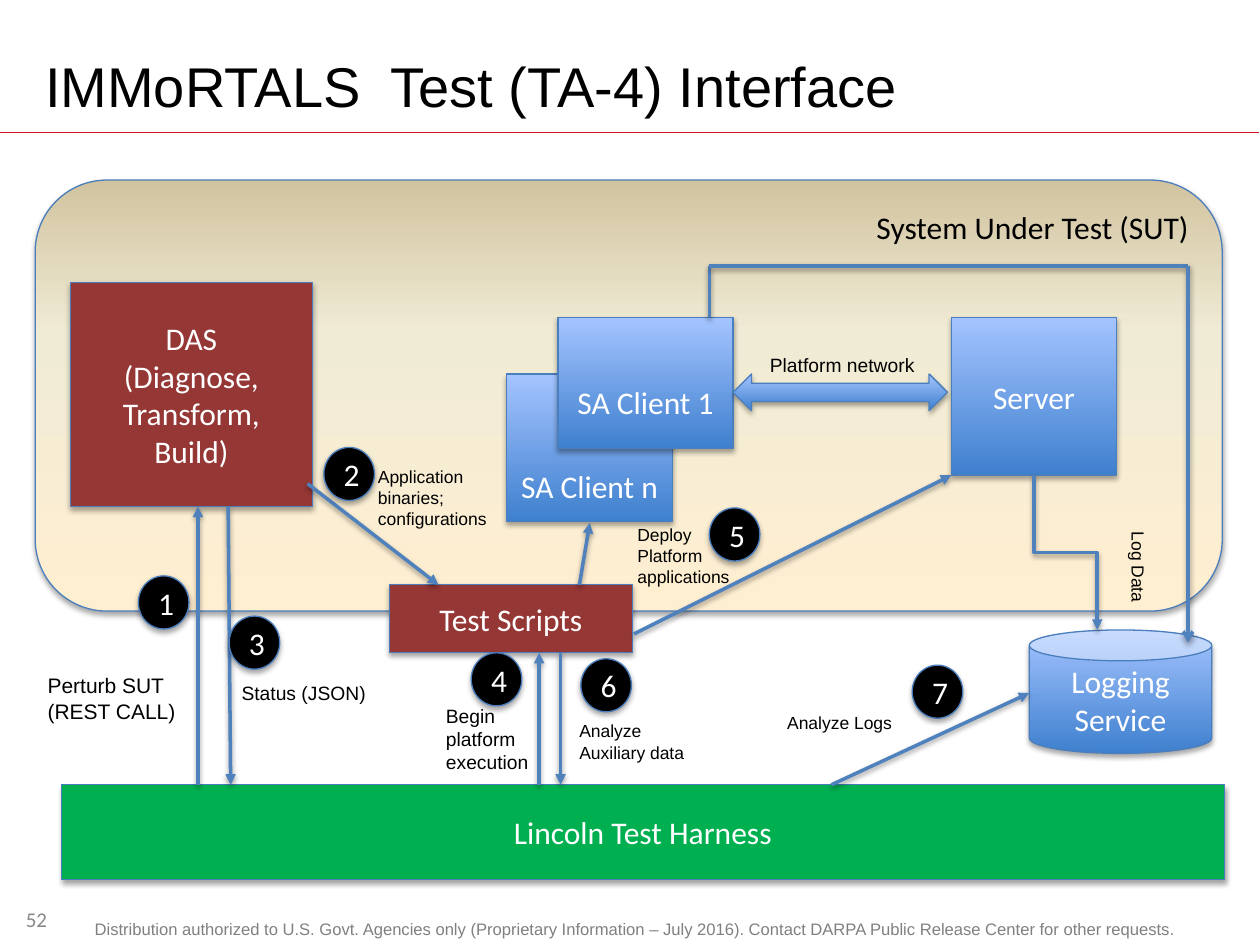
from dataclasses import dataclass

from lxml import etree
from pptx import Presentation
from pptx.dml.color import RGBColor
from pptx.enum import shapes, text
from pptx.oxml.ns import qn
from pptx.util import Cm, Pt

SHAPE = shapes.MSO_SHAPE
LINK = shapes.MSO_CONNECTOR
ALIGN = text.PP_ALIGN
ANCHOR = text.MSO_ANCHOR


@dataclass(frozen=True)
class Theme:
    """Colours, fonts and type sizes of the slide."""
    heading: str = "Arial"
    body: str = "Calibri"
    ink: str = "000000"
    paper: str = "FFFFFF"
    rule: str = "CE1126"
    footer: str = "808080"
    number: str = "898989"
    outline: str = "4B7EBC"
    flow: str = "4F81BD"
    tool: str = "953735"
    harness: str = "00B050"
    blue: tuple = ((0, "3F80CE"), (100, "A4C4FF"))
    sand: tuple = ((0, "FFEFD1"), (65, "F0EBD5"), (100, "D1C39F"))
    title_size: float = 32
    node_size: float = 18
    number_size: float = 12
    footer_size: float = 9.5
    large_label: float = 12
    label: float = 11
    small_label: float = 10


THEME = Theme()


@dataclass(frozen=True)
class Box:
    """A region of the slide, in centimetres."""
    left: float
    top: float
    width: float
    height: float

    def inner(self, x, y, width, height):
        """Return a box placed relative to this one."""
        return Box(self.left + x, self.top + y, width, height)

    def point(self, x, y):
        """Return an absolute point given relative to this box."""
        return self.left + x, self.top + y

    def lengths(self):
        """Return the position and size as slide lengths."""
        return [Cm(v) for v in (self.left, self.top, self.width, self.height)]


def rgb(code):
    """Return the colour for a hex code."""
    return RGBColor.from_string(code)


def write(frame, lines, size, color, font, align=ALIGN.LEFT, spacing=None):
    """Fill a text frame with one paragraph for each line."""
    for index, line in enumerate(lines.split("\n")):
        paragraph = frame.add_paragraph() if index else frame.paragraphs[0]
        paragraph.alignment = align
        if spacing:
            paragraph.line_spacing = spacing
        run = paragraph.add_run()
        run.text = line
        run.font.size, run.font.name = Pt(size), font
        run.font.color.rgb = rgb(color)


def add_text(slide, box, lines, size, color=THEME.ink, font=THEME.heading,
             align=ALIGN.LEFT, anchor=ANCHOR.TOP, wrap=True, spacing=None):
    """Add a text box and return it."""
    label = slide.shapes.add_textbox(*box.lengths())
    label.text_frame.word_wrap = wrap
    label.text_frame.vertical_anchor = anchor
    write(label.text_frame, lines, size, color, font, align, spacing)
    return label


def cast_shadow(properties, alpha, distance):
    """Put a soft downward shadow on a shape or connector."""
    effects = properties.find(qn("a:effectLst"))
    if effects is None:
        effects = etree.SubElement(properties, qn("a:effectLst"))
    shadow = etree.SubElement(effects, qn("a:outerShdw"), blurRad=str(Pt(3.1)),
                              dist=str(Pt(distance)), dir="5400000", rotWithShape="0")
    shade = etree.SubElement(shadow, qn("a:srgbClr"), val=THEME.ink)
    etree.SubElement(shade, qn("a:alpha"), val=str(alpha * 1000))


def paint(shape, fill):
    """Fill a shape with one colour or with rising gradient stops."""
    if isinstance(fill, str):
        shape.fill.solid()
        shape.fill.fore_color.rgb = rgb(fill)
        return
    shape.fill.gradient()
    shape.fill.gradient_angle = 90
    stops = shape._element.spPr.find(".//" + qn("a:gsLst"))
    for stop in list(stops):
        stops.remove(stop)
    for position, color in fill:
        stop = etree.SubElement(stops, qn("a:gs"), pos=str(position * 1000))
        etree.SubElement(stop, qn("a:srgbClr"), val=color)


def add_node(slide, box, fill, lines="", kind=SHAPE.RECTANGLE, color=THEME.paper,
             align=ALIGN.CENTER, anchor=ANCHOR.MIDDLE, drop=0):
    """Add an outlined node whose text starts lower by the given drop."""
    node = slide.shapes.add_shape(kind, *box.lengths())
    paint(node, fill)
    node.line.color.rgb, node.line.width = rgb(THEME.outline), Pt(0.75)
    node.shadow.inherit = False
    cast_shadow(node._element.spPr, 35, 1.8)
    if lines:
        frame = node.text_frame
        frame.word_wrap, frame.vertical_anchor = True, anchor
        frame.margin_top = Cm(0.13 + drop)
        write(frame, lines, THEME.node_size, color, THEME.body, align)


def add_line(slide, start, end, color, width, kind=LINK.STRAIGHT):
    """Add a plain connector and return it."""
    line = slide.shapes.add_connector(kind, *[Cm(v) for v in (*start, *end)])
    line.line.color.rgb, line.line.width = rgb(color), Pt(width)
    return line


def add_flow(slide, start, end, head="triangle", kind=LINK.STRAIGHT):
    """Add a shadowed flow line with an optional arrowhead and return it."""
    flow = add_line(slide, start, end, THEME.flow, 2, kind)
    properties = flow._element.spPr
    if head:
        etree.SubElement(properties.find(qn("a:ln")), qn("a:tailEnd"), type=head)
    cast_shadow(properties, 38, 1.6)
    return flow


def add_falling_elbow(slide, start, end):
    """Add an elbow flow that leaves and arrives vertically."""
    (x1, y1), (x2, y2) = start, end
    middle_x, middle_y = (x1 + x2) / 2, (y1 + y2) / 2
    half_run, half_rise = (y2 - y1) / 2, (x2 - x1) / 2
    elbow = add_flow(slide, (middle_x + half_run, middle_y - half_rise),
                     (middle_x - half_run, middle_y + half_rise), kind=LINK.ELBOW)
    elbow._element.spPr.find(qn("a:xfrm")).set("rot", "16200000")


def draw_header(slide, box):
    """Draw the title and the rule below it."""
    add_text(slide, box.inner(0.66, 0.76, 22.86, 1.91), "IMMoRTALS  Test (TA-4) Interface",
             THEME.title_size, anchor=ANCHOR.MIDDLE)
    add_line(slide, box.point(0, box.height), box.point(box.width, box.height),
             THEME.rule, 1)._element.spPr.append(etree.Element(qn("a:effectLst")))


def draw_footer(slide, box):
    """Draw the slide number and the distribution statement."""
    add_text(slide, box.inner(1.47, 0.46, 22.66, 0.66),
             "Distribution authorized to U.S. Govt. Agencies only (Proprietary Information"
             " – July 2016). Contact DARPA Public Release Center for other requests.",
             THEME.footer_size, THEME.footer, align=ALIGN.CENTER, spacing=0.8)
    add_text(slide, box.inner(0, 0, 1.47, 1.02), "52", THEME.number_size, THEME.number,
             THEME.body, ALIGN.CENTER, ANCHOR.MIDDLE)


def draw_system(slide, box):
    """Draw the system under test with its clients, server and network."""
    add_node(slide, box, THEME.sand, "System Under Test (SUT)", SHAPE.ROUNDED_RECTANGLE,
             THEME.ink, ALIGN.RIGHT, ANCHOR.TOP)
    add_node(slide, box.inner(9.5, 3.91, 3.35, 2.97), THEME.blue, "SA Client n", drop=1.52)
    add_node(slide, box.inner(10.54, 2.77, 3.53, 2.64), THEME.blue, "SA Client 1", drop=0.76)
    add_node(slide, box.inner(18.47, 2.77, 3.33, 3.18), THEME.blue, "Server")
    add_node(slide, box.inner(0.71, 2.06, 4.88, 4.52), THEME.tool,
             "DAS\n(Diagnose, Transform, Build)")
    add_node(slide, box.inner(14.07, 3.91, 4.32, 0.74), THEME.blue, kind=SHAPE.LEFT_RIGHT_ARROW)
    add_text(slide, box.inner(14.56, 3.36, 3.45, 0.74), "Platform network", THEME.label, wrap=False)


def draw_test_bench(slide, box):
    """Draw the test scripts, the logging service and the harness."""
    add_node(slide, box.inner(0, 4.03, 23.44, 1.91), THEME.harness, "Lincoln Test Harness")
    add_node(slide, box.inner(6.61, 0, 4.9, 1.37), THEME.tool, "Test Scripts")
    add_node(slide, box.inner(19.51, 0.91, 3.68, 2.49), THEME.blue, "Logging Service", SHAPE.CAN)


def draw_flows(slide, box):
    """Draw the arrows between the parts and the route of the log data."""
    for start, end in (((3.99, 15.82), (3.99, 10.21)), ((4.6, 10.21), (4.65, 15.82)),
                       ((10.87, 15.82), (10.87, 13.16)), ((11.3, 13.16), (11.3, 15.82)),
                       ((16.76, 15.82), (20.75, 13.97)), ((6.2, 9.75), (8.84, 11.79)),
                       ((11.68, 11.79), (11.89, 10.54)), ((12.78, 12.78), (19.18, 9.58))):
        add_flow(slide, box.point(*start), box.point(*end))
    add_falling_elbow(slide, box.point(20.85, 9.58), box.point(22.12, 12.7))
    route = [box.point(*p) for p in ((14.3, 6.4), (14.3, 5.36), (23.95, 5.36), (23.95, 12.95))]
    for start, end, head in zip(route, route[1:], (None, None, "arrow")):
        add_flow(slide, start, end, head)
    add_text(slide, box.inner(21.79, 11.28, 2.31, 0.69), "Log Data", THEME.small_label).rotation = 90


def draw_steps(slide, box):
    """Draw the numbered badges and the label of each step."""
    large, middle, small = THEME.large_label, THEME.label, THEME.small_label
    steps = (
        ((2.79, 11.61), (0.71, 13.44, 4.24, 1.27), "Perturb SUT\n(REST CALL)", large),
        ((6.53, 9.02), (7.37, 9.27, 2.97, 1.55), "Application binaries; configurations", small),
        ((4.62, 12.42), (4.62, 13.61, 3.15, 0.74), "Status (JSON)", middle),
        ((9.5, 13.16), (8.74, 14.07, 2.49, 1.68), "Begin platform execution", middle),
        ((14.3, 10.24), (12.6, 10.44, 2.44, 1.55), "Deploy Platform applications", small),
        ((11.71, 13.28), (11.43, 14.4, 3.1, 1.12), "Analyze Auxiliary data", small),
        ((18.39, 13.41), (15.62, 14.22, 3.1, 0.69), "Analyze Logs", small),
    )
    for number, (badge, place, label, size) in enumerate(steps, 1):
        add_node(slide, box.inner(*badge, 1.02, 1.07), THEME.ink, str(number), SHAPE.OVAL)
        add_text(slide, box.inner(*place), label, size)


def main():
    """Build the slide and save it."""
    deck = Presentation()
    page = Box(0, 0, 25.4, 19.05)
    deck.slide_width, deck.slide_height = Cm(page.width), Cm(page.height)
    slide = deck.slides.add_slide(deck.slide_layouts[6])
    draw_header(slide, page.inner(0, 0, 25.37, 2.67))
    draw_footer(slide, page.inner(0, 18.01, 25.4, 1.04))
    draw_system(slide, page.inner(0.71, 3.63, 23.93, 8.69))
    draw_test_bench(slide, page.inner(1.24, 11.79, 23.44, 5.94))
    draw_flows(slide, page)
    draw_steps(slide, page)
    deck.save("out.pptx")


if __name__ == "__main__":
    main()
